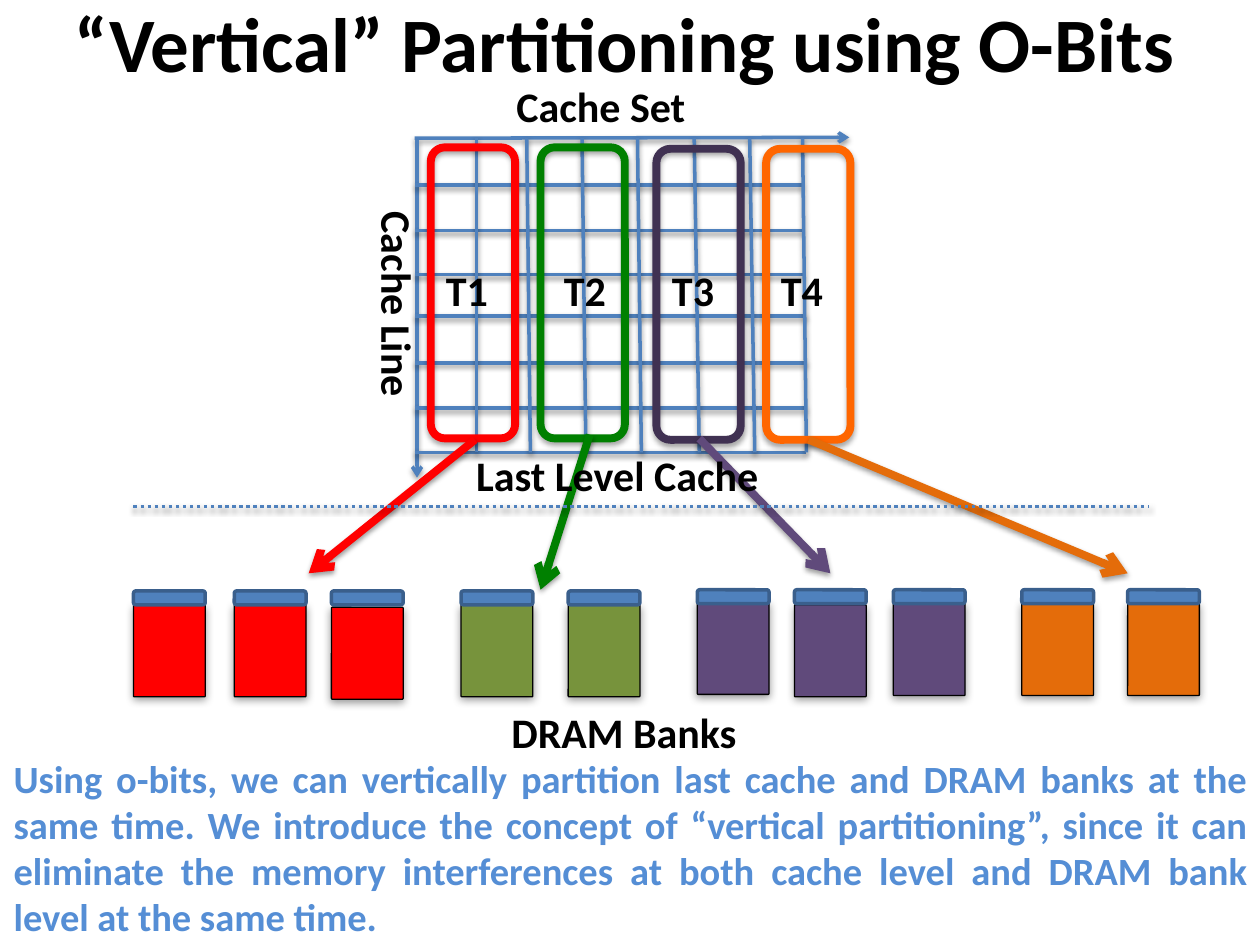
from dataclasses import dataclass

from lxml.etree import SubElement
from pptx import Presentation
from pptx.dml.color import RGBColor
from pptx.enum.dml import MSO_LINE_DASH_STYLE as Dash
from pptx.enum.shapes import MSO_CONNECTOR as Connector, MSO_SHAPE as Shape
from pptx.enum.text import MSO_ANCHOR as Anchor, MSO_AUTO_SIZE as AutoSize, PP_ALIGN as Align
from pptx.oxml.ns import qn
from pptx.util import Pt


@dataclass(frozen=True)
class Theme:
    font: str = "Calibri"
    title: float = 44
    label: float = 24
    body: float = 22
    thin: float = 2
    thick: float = 4.5
    black: str = "000000"
    blue: str = "4F81BD"
    cap_edge: str = "3A5F8C"
    note: str = "558ED5"


T = Theme()

# Cache grid: row heights, and column positions at top and bottom
ROWS = (105.8, 131.8, 157, 180.7, 207.4, 233.3, 258.5)
COLUMNS = ((272.2, 272.2), (301, 303.1), (332.6, 334.8), (364.3, 366.5),
           (396.7, 399.6), (428.4, 431.3), (458.6, 460.8))
GRID_LEFT, GRID_TOP, GRID_BOTTOM = 237, 79, 258.5

# Cache partitions: left, top, colour
PARTITIONS = ((246.2, 84.2, "FF0000"), (308.9, 84.2, "008000"),
              (375.1, 85, "403152"), (437.8, 85, "FF6600"))

# Arrows from a partition to its banks: start, end, colour
MAPPINGS = (((271.4, 251.3), (176.4, 327.6), "FF0000"),
            ((337, 248.4), (308.9, 337), "008000"),
            ((399.6, 250.6), (474.5, 327.6), "604A7B"),
            ((462.2, 251.3), (644.4, 327.6), "E46C0A"))

# Bank groups: colour, cap top, (left, body top) of each bank
BANKS = (("FF0000", 337.7, ((76.3, 345.6), (133.9, 345.6), (189.4, 347))),
         ("77933C", 337.7, ((263.5, 345.6), (324.7, 345.6))),
         ("604A7B", 337, ((398.5, 344.2), (454, 345.6), (510.5, 344.9))),
         ("E46C0A", 337, ((583.9, 344.9), (644.4, 344.9))))


def rgb(value):
    return RGBColor.from_string(value)


def add_shadow(shape, alpha=38, blur=3.1, dist=1.6):
    effects = SubElement(shape._element.spPr, qn("a:effectLst"))
    shadow = SubElement(effects, qn("a:outerShdw"), blurRad=str(Pt(blur)),
                        dist=str(Pt(dist)), dir="5400000", rotWithShape="0")
    color = SubElement(shadow, qn("a:srgbClr"), val=T.black)
    SubElement(color, qn("a:alpha"), val=str(alpha * 1000))


def add_line(s, start, end, color=T.blue, width=T.thin, arrow=False, dash=None):
    line = s.shapes.add_connector(Connector.STRAIGHT, *map(Pt, (*start, *end)))
    line.line.color.rgb = rgb(color)
    line.line.width = Pt(width)
    if dash:
        line.line.dash_style = dash
    if arrow:
        SubElement(line.line._get_or_add_ln(), qn("a:tailEnd"), type="arrow")
    add_shadow(line)


def add_round_rect(s, left, top, width, height, fill, edge, weight):
    sp = s.shapes.add_shape(Shape.ROUNDED_RECTANGLE, *map(Pt, (left, top, width, height)))
    if fill:
        sp.fill.solid()
        sp.fill.fore_color.rgb = rgb(fill)
    else:
        sp.fill.background()
    sp.line.color.rgb = rgb(edge)
    sp.line.width = Pt(weight)
    return sp


def add_bank(s, left, top, cap_top, color):
    body = add_round_rect(s, left, top, 41, 52.6, color, T.black, 0.75)
    body.adjustments[0] = 0.013
    add_shadow(body, blur=5)
    cap = add_round_rect(s, left, cap_top, 41, 7.9, T.blue, T.cap_edge, T.thin)
    cap.shadow.inherit = False


def format_text(p, size, color, align):
    p.alignment = align
    p.font.name, p.font.size, p.font.bold = T.font, Pt(size), True
    p.font.color.rgb = rgb(color)


def add_text(s, text, left, top, width, height, size=T.label, color=T.black,
             align=Align.LEFT, vert=None, tabs=()):
    tf = s.shapes.add_textbox(*map(Pt, (left, top, width, height))).text_frame
    tf.word_wrap = True
    if vert:
        tf._txBody.bodyPr.set("vert", vert)
    p = tf.paragraphs[0]
    p.text = text
    if tabs:
        tab_list = SubElement(p._p.get_or_add_pPr(), qn("a:tabLst"))
        for pos in tabs:
            SubElement(tab_list, qn("a:tab"), pos=str(Pt(pos)), algn="l")
    format_text(p, size, color, align)


def add_title(s, text):
    title = s.shapes.title
    title.left, title.top, title.width, title.height = map(Pt, (33.1, -20.9, 648, 90))
    tf = title.text_frame
    tf.auto_size = AutoSize.NONE
    tf.vertical_anchor = Anchor.MIDDLE
    tf.text = text
    format_text(tf.paragraphs[0], T.title, T.black, Align.CENTER)


def add_cache(s):
    # Axes and grid
    add_line(s, (GRID_LEFT, GRID_TOP), (485.3, 78.5), arrow=True)
    add_line(s, (238.3, 80), (238.3, 272.9), arrow=True)
    for i, y in enumerate(ROWS):
        add_line(s, (GRID_LEFT, y), (458.6 if i < 3 else 460.8, y))
    for top_x, bottom_x in COLUMNS:
        add_line(s, (top_x, GRID_TOP), (bottom_x, GRID_BOTTOM))
    add_text(s, "Cache Set", 288, 42.5, 155.5, 36)
    add_text(s, "Cache Line", 201.6, 113.8, 43.9, 134.6, vert="eaVert")

    # Partitions
    for left, top, color in PARTITIONS:
        frame = add_round_rect(s, left, top, 48.2, 166.3, None, color, T.thick)
        add_shadow(frame, alpha=35, dist=1.8)


def main():
    prs = Presentation()
    prs.slide_width, prs.slide_height = Pt(720), Pt(540)
    s = prs.slides.add_slide(prs.slide_layouts[5])
    add_title(s, "“Vertical” Partitioning using O-Bits")
    add_cache(s)

    # DRAM banks
    for color, cap_top, banks in BANKS:
        for left, top in banks:
            add_bank(s, left, top, cap_top, color)
    add_text(s, "DRAM Banks", 285.1, 400.3, 157.7, 36)

    # Mapping from partitions to banks
    for start, end, color in MAPPINGS:
        add_line(s, start, end, color, T.thick, arrow=True)
    add_text(s, "T1\tT2\tT3\tT4", 247.7, 147.6, 298, 36, tabs=(67.4, 129.2, 191.4))
    add_text(s, "Last Level Cache", 265, 253.4, 209.5, 36)
    add_line(s, (76.3, 289.4), (656.6, 289.4), dash=Dash.ROUND_DOT)

    # Summary
    add_text(s, "Using o-bits, we can vertically partition last cache and DRAM banks at the "
             "same time. We introduce the concept of “vertical partitioning”, since it can "
             "eliminate the memory interferences at both cache level and DRAM bank level at "
             "the same time.", 0.7, 427.7, 719.3, 113.8, T.body, T.note, Align.JUSTIFY)
    prs.save("out.pptx")


if __name__ == "__main__":
    main()
